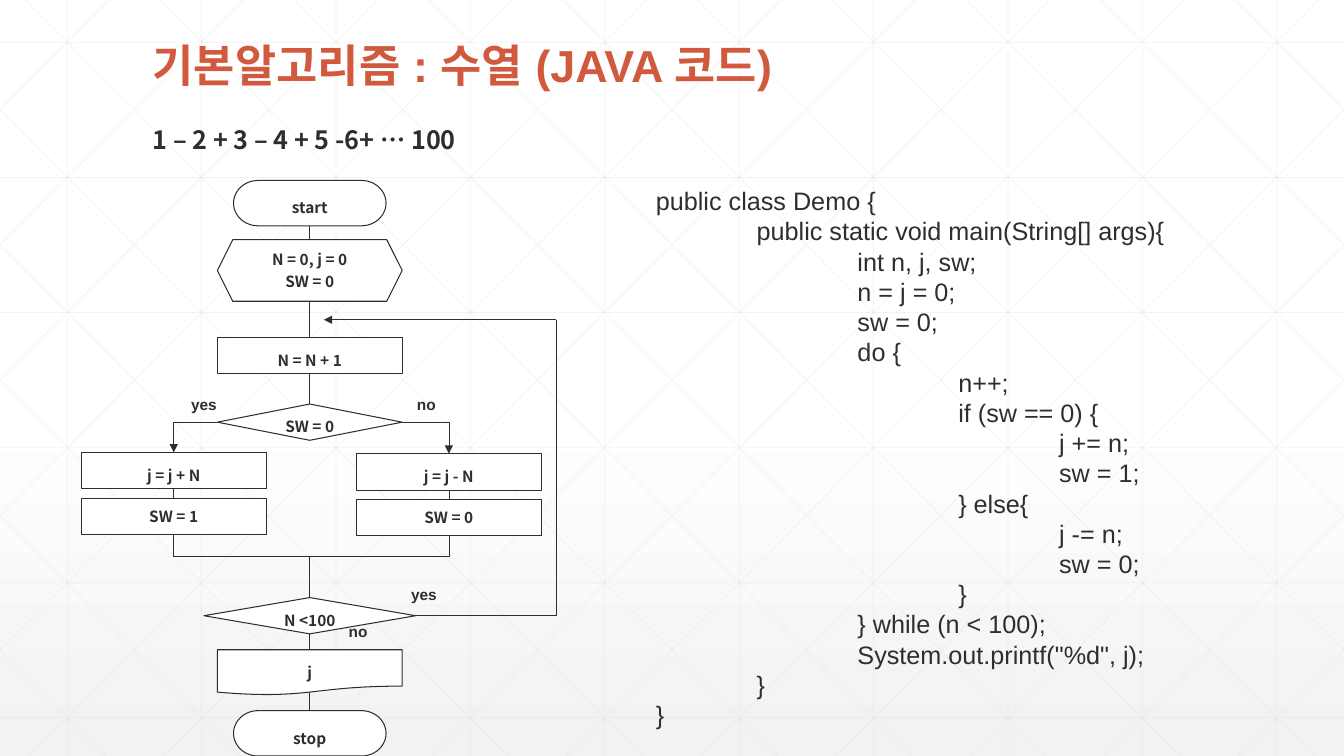
from lxml import etree
from pptx import Presentation
from pptx.dml.color import RGBColor
from pptx.enum.shapes import MSO_CONNECTOR, MSO_SHAPE
from pptx.enum.text import MSO_ANCHOR, MSO_AUTO_SIZE, PP_ALIGN
from pptx.oxml.ns import qn
from pptx.util import Inches, Pt

STRAIGHT, ELBOW = MSO_CONNECTOR.STRAIGHT, MSO_CONNECTOR.ELBOW
TERMINATOR, DOCUMENT = MSO_SHAPE.FLOWCHART_TERMINATOR, MSO_SHAPE.FLOWCHART_DOCUMENT
RECT, HEXAGON, DIAMOND = MSO_SHAPE.RECTANGLE, MSO_SHAPE.HEXAGON, MSO_SHAPE.DIAMOND
TOP, MIDDLE = MSO_ANCHOR.TOP, MSO_ANCHOR.MIDDLE
LEFT, CENTER = PP_ALIGN.LEFT, PP_ALIGN.CENTER
NO_FIT = MSO_AUTO_SIZE.NONE
SIDE_TOP, SIDE_LEFT, SIDE_BOTTOM, SIDE_RIGHT = range(4)

COLORS = {"title": "D15A3E", "ink": "2D2E2D", "white": "FFFFFF",
          "shade": "F2F2F2", "grid": "D9D9D9"}
ARIAL, NOTO = "Arial", "Noto Sans CJK KR"

CODE = """public class Demo {
\tpublic static void main(String[] args){
\t\tint n, j, sw;
\t\tn = j = 0;
\t\tsw = 0;
\t\tdo {
\t\t\tn++;
\t\t\tif (sw == 0) {
\t\t\t\tj += n;
\t\t\t\tsw = 1;
\t\t\t} else{
\t\t\t\tj -= n;
\t\t\t\tsw = 0;
\t\t\t}
\t\t} while (n < 100);
\t\tSystem.out.printf("%d", j);
\t}
}"""


def rgb(name):
    return RGBColor.from_string(COLORS[name])


def write(tf, text, size=11, font=ARIAL, color="ink", bold=False, align=LEFT,
          spacing=1.0, before=0, anchor=TOP, wrap=True):
    """Fill a text frame, one unbulleted paragraph for each line of text."""
    tf.word_wrap, tf.auto_size, tf.vertical_anchor = wrap, NO_FIT, anchor
    for i, line in enumerate(text.split("\n")):
        p = tf.add_paragraph() if i else tf.paragraphs[0]
        p.alignment, p.line_spacing, p.space_before = align, spacing, Pt(before)
        pPr = p._p.get_or_add_pPr()
        pPr.set("marL", "0")
        pPr.set("indent", "0")
        pPr.set("defTabSz", str(Inches(1)))
        etree.SubElement(pPr, qn("a:buNone"))
        r = p.add_run()
        r.text = line
        r.font.size, r.font.bold = Pt(size), bold
        r.font.color.rgb = rgb(color)
        r.font.name = font
        etree.SubElement(r._r.get_or_add_rPr(), qn("a:ea")).set("typeface", font)


class Deck:
    """Draws on one slide, measured in hundredths of its width and height."""

    def __init__(self):
        self.prs = Presentation()
        self.prs.slide_width, self.prs.slide_height = Inches(13.33), Inches(7.5)
        self.s = self.prs.slides.add_slide(self.prs.slide_layouts[1])

    def x(self, cols):
        return round(self.prs.slide_width * cols / 100)

    def y(self, rows):
        return round(self.prs.slide_height * rows / 100)

    def box(self, left, top, width, height):
        return self.x(left), self.y(top), self.x(width), self.y(height)

    def background(self):
        fill = self.s.background.fill
        fill.gradient()
        fill.gradient_angle = 270
        for stop, pos, name in zip(fill.gradient_stops, (0.53, 1), ("white", "shade")):
            stop.position = pos
            stop.color.rgb = rgb(name)

    def placeholder(self, index, area, text, **fmt):
        """Fill a placeholder and bring it in front of what is drawn so far."""
        sp = self.s.placeholders[index]
        sp.left, sp.top, sp.width, sp.height = self.box(*area)
        write(sp.text_frame, text, **fmt)
        sp.element.getparent().append(sp.element)

    def text(self, area, text, **fmt):
        write(self.s.shapes.add_textbox(*self.box(*area)).text_frame, text, **fmt)

    def label(self, center, top, text):
        self.text((center - 2, top, 4, 4.13), text, bold=True, align=CENTER, wrap=False)

    def node(self, kind, center, top, text, width=13.75, height=4.8, spacing=1.5):
        sp = self.s.shapes.add_shape(
            kind, *self.box(center - width / 2, top, width, height))
        sp.shadow.inherit = False
        sp.fill.solid()
        sp.fill.fore_color.rgb = rgb("white")
        sp.line.color.rgb = rgb("ink")
        sp.line.width = Pt(0.75)
        tf = sp.text_frame
        tf.margin_left = tf.margin_top = tf.margin_right = tf.margin_bottom = 0
        write(tf, text, font=NOTO, bold=True, align=CENTER, anchor=MIDDLE,
              spacing=spacing, before=2.2)
        return sp

    def line(self, x1, y1, x2, y2, kind=STRAIGHT, color="ink", width=0.75,
             alpha=None, arrow=False):
        c = self.s.shapes.add_connector(
            kind, self.x(x1), self.y(y1), self.x(x2), self.y(y2))
        c.line.color.rgb = rgb(color)
        c.line.width = Pt(width)
        spPr = c.element.spPr
        ln = spPr.find(qn("a:ln"))
        if alpha:
            clr = ln.find(".//" + qn("a:srgbClr"))
            etree.SubElement(clr, qn("a:alpha")).set("val", str(alpha * 1000))
        if arrow:
            etree.SubElement(ln, qn("a:tailEnd")).set("type", "triangle")
        etree.SubElement(spPr, qn("a:effectLst"))
        return c

    def corner(self, x1, y1, x2, y2, **fmt):
        """One bend: across first, then up or down."""
        c = self.line(x1, y1, x2, y2, kind=ELBOW, **fmt)
        c.element.spPr.find(qn("a:prstGeom")).set("prst", "bentConnector2")
        return c


def draw_grid(d):
    style = {"color": "grid", "width": 0.5, "alpha": 30}
    for i in range(10):
        d.line(5 + 10 * i, 0, 5 + 10 * i, 100, **style)
    for i in range(6):
        row = 5.6 + 17.87 * i
        d.line(0, row, 100, row, **style)
    run = 55.9
    for i in range(-5, 10):
        start = 1.9 + 10 * i
        x1, x2 = max(0, start), min(100, start + run)
        y1, y2 = ((x - start) / run * 100 for x in (x1, x2))
        d.line(x1, y1, x2, y2, **style)
        d.line(100 - x1, y1, 100 - x2, y2, **style)


def draw_flowchart(d):
    mid, yes, no, loop = 23.05, 12.93, 33.4, 41.4
    merge_row, loop_row = 73.6, 42.3
    lower = d.line(mid, merge_row, mid, 94)
    upper = d.line(mid, 29.87, mid, 53.5)
    yes_merge = d.corner(16.2, merge_row, yes, 64.7, width=0.5)
    no_merge = d.corner(15.7, merge_row, no, 64.8, width=0.5)

    start = d.node(TERMINATOR, mid, 23.87, "start", width=11.35, height=6)
    stop = d.node(TERMINATOR, mid, 94, "stop", width=11.35, height=6)
    d.node(RECT, mid, 44.67, "N = N + 1")
    d.node(DOCUMENT, mid, 85.95, "j", height=6)
    d.node(HEXAGON, mid, 31.7, "N = 0, j = 0\nSW = 0", height=8.15, spacing=1)
    switch = d.node(DIAMOND, mid, 53.45, "SW = 0")
    limit = d.node(DIAMOND, mid, 79.05, "N <100", width=15.75)
    add = d.node(RECT, yes, 59.85, "j = j + N")
    subtract = d.node(RECT, no, 60, "j = j - N", height=4.9)
    d.node(RECT, yes, 65.9, "SW = 1", spacing=1)
    d.node(RECT, no, 66.1, "SW = 0", spacing=1)

    upper.begin_connect(start, SIDE_BOTTOM)
    upper.end_connect(switch, SIDE_TOP)
    lower.end_connect(stop, SIDE_TOP)
    yes_merge.end_connect(add, SIDE_BOTTOM)
    no_merge.end_connect(subtract, SIDE_BOTTOM)
    for side, col, target in ((SIDE_LEFT, yes, add), (SIDE_RIGHT, no, subtract)):
        branch = d.corner(mid, 55.9, col, 60, width=0.5, arrow=True)
        branch.begin_connect(switch, side)
        branch.end_connect(target, SIDE_TOP)
    back = d.corner(30.93, 81.45, loop, loop_row)
    back.begin_connect(limit, SIDE_RIGHT)
    d.line(loop, loop_row, 24.1, loop_row, arrow=True)

    for center, top, text in ((26.65, 81.6, "no"), (31.55, 76.8, "yes"),
                              (15.18, 51.6, "yes"), (31.73, 51.6, "no")):
        d.label(center, top, text)


def main():
    d = Deck()
    d.background()
    draw_grid(d)
    d.placeholder(0, (10.6, 4.95, 78.75, 8.13), "기본알고리즘 : 수열 (JAVA 코드)",
                  size=32, color="title", bold=True, spacing=0.9, anchor=MIDDLE)
    d.placeholder(1, (10.6, 13.73, 78.75, 7.47), "1 – 2 + 3 – 4 + 5 -6+ … 100",
                  size=18, font=NOTO, bold=True, spacing=1.5, before=3.6)
    draw_flowchart(d)
    d.text((48.06, 23.87, 50, 74), CODE, size=18)
    d.prs.save("out.pptx")


if __name__ == "__main__":
    main()
